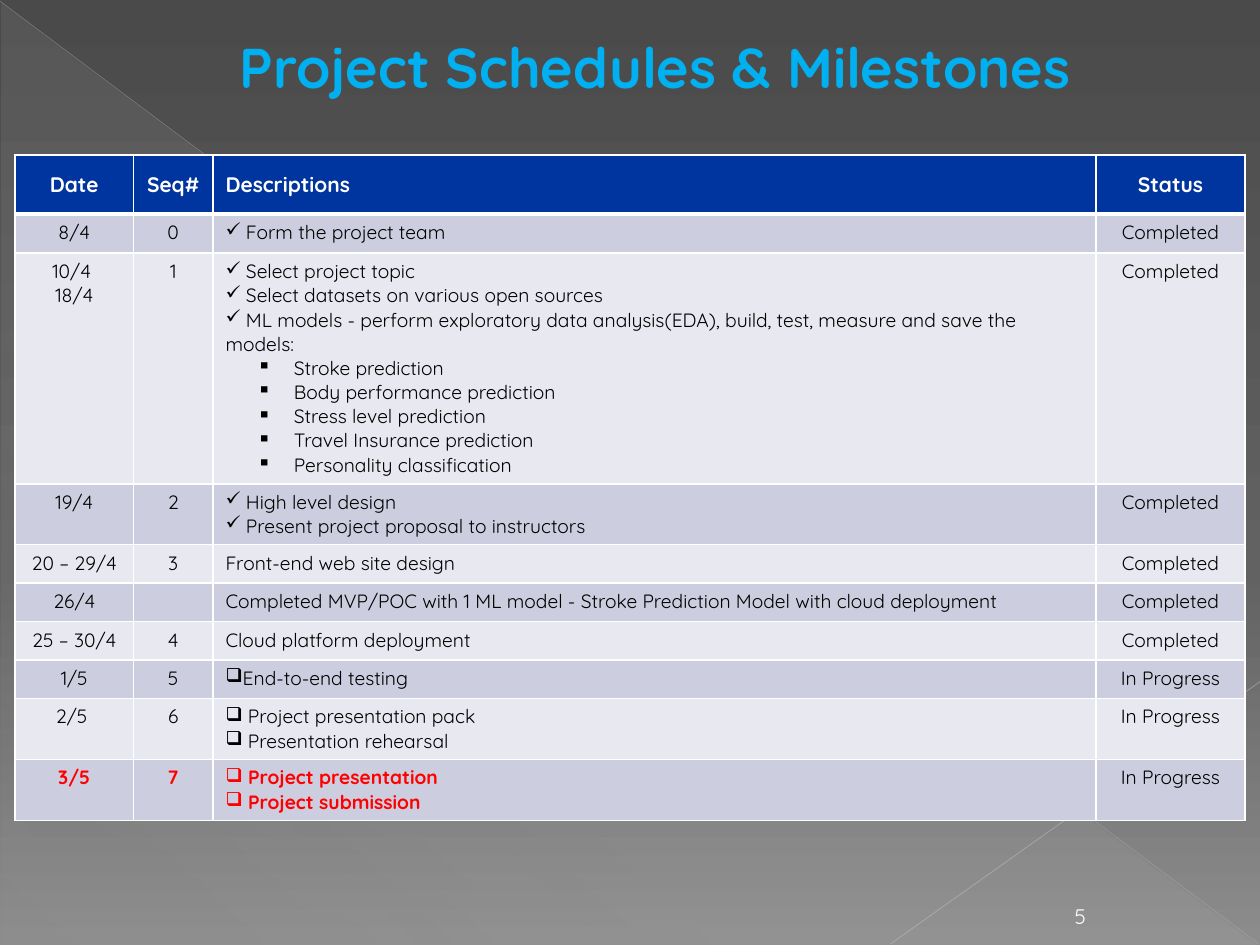
from dataclasses import dataclass

from lxml import etree
from pptx import Presentation
from pptx.dml.color import RGBColor
from pptx.enum.shapes import MSO_CONNECTOR, MSO_SHAPE
from pptx.enum.text import MSO_ANCHOR, PP_ALIGN
from pptx.oxml.ns import qn
from pptx.util import Inches, Pt

CENTER, LEFT = PP_ALIGN.CENTER, PP_ALIGN.LEFT
TOP, MIDDLE, BOTTOM = MSO_ANCHOR.TOP, MSO_ANCHOR.MIDDLE, MSO_ANCHOR.BOTTOM
STRAIGHT, TRIANGLE = MSO_CONNECTOR.STRAIGHT, MSO_SHAPE.RIGHT_TRIANGLE
COLUMNS, ROWS, UNIT = 100, 75, 0.1
CHECK, BOX, SQUARE = "✓", "❑", "▪"


@dataclass(frozen=True)
class Theme:
    font: str = "Quicksand"
    title: str = "00B0F0"
    header: str = "00349E"
    bands: tuple = ("CCCEDF", "E7E8F0")
    light: str = "FFFFFF"
    text: str = "000000"
    alert: str = "FF0000"
    upper_ray: str = "BFBFBF"
    lower_ray: str = "C6C6C6"
    title_size: int = 32
    header_size: int = 12
    body_size: int = 11
    backdrop: tuple = ((0, "4A4A4A", 100), (60, "626262", 100), (100, "8C8C8C", 100))
    sheen: tuple = ((0, "D2D2D2", 10), (70, "D2D2D2", 8), (100, "D2D2D2", 1))


@dataclass(frozen=True)
class Item:
    text: str
    bullet: str = ""
    nested: bool = False


def grid(value):
    return Inches(value * UNIT)


def add_alpha(color, percent):
    etree.SubElement(color, qn("a:alpha"), val=str(percent * 1000))


class SlideBuilder:
    def __init__(self, theme):
        self.theme = theme
        self.deck = Presentation()
        self.deck.slide_width, self.deck.slide_height = grid(COLUMNS), grid(ROWS)
        self.slide = self.deck.slides.add_slide(self.deck.slide_layouts[6])

    def gradient(self, fill, owner, stops, angle):
        fill.gradient()
        gradient = owner.element.find(".//" + qn("a:gradFill"))
        stop_list = gradient.find(qn("a:gsLst"))
        for default in list(stop_list):
            stop_list.remove(default)
        for position, color, opacity in stops:
            stop = etree.SubElement(stop_list, qn("a:gs"), pos=str(position * 1000))
            add_alpha(etree.SubElement(stop, qn("a:srgbClr"), val=color), opacity)
        gradient.find(qn("a:lin")).set("ang", str(angle * 60000))

    def background(self):
        self.gradient(self.slide.background.fill, self.slide, self.theme.backdrop, 90)

    def triangle(self, box):
        triangle = self.slide.shapes.add_shape(TRIANGLE, *map(grid, box))
        triangle.shadow.inherit = False
        triangle.line.fill.background()
        self.gradient(triangle.fill, triangle, self.theme.sheen, 133)

    def line(self, start, end, color, width, opacity):
        line = self.slide.shapes.add_connector(STRAIGHT, *map(grid, start + end))
        line.line.color.rgb = RGBColor.from_string(color)
        line.line.width = Pt(width)
        add_alpha(line.element.find(".//" + qn("a:srgbClr")), opacity)
        etree.SubElement(line.element.spPr, qn("a:effectLst"))

    def style_text(self, paragraph, text, size, color, bold=False, align=CENTER):
        paragraph.text = text
        paragraph.alignment = align
        font = paragraph.font
        font.name, font.size, font.bold = self.theme.font, Pt(size), bold
        font.color.rgb = RGBColor.from_string(color)

    def text(self, box, text, size, color, bold=False, anchor=TOP):
        frame = self.slide.shapes.add_textbox(*map(grid, box)).text_frame
        frame.word_wrap = True
        frame.vertical_anchor = anchor
        self.style_text(frame.paragraphs[0], text, size, color, bold)

    def bullet(self, paragraph, item):
        properties = paragraph._p.get_or_add_pPr()
        if item.nested:
            paragraph.level = 1
        properties.set("marL", str(Inches(0.5 if item.nested else 0)))
        properties.set("indent", str(Inches(-0.25 if item.nested else 0)))
        mark = etree.Element(qn("a:buChar"), char=item.bullet)
        properties.find(qn("a:defRPr")).addprevious(mark)

    def borders(self, cell, widths):
        properties = cell._tc.get_or_add_tcPr()
        for side, width in zip("LRTB", widths):
            border = etree.SubElement(properties, qn("a:ln" + side), w=str(Pt(width)))
            solid = etree.SubElement(border, qn("a:solidFill"))
            etree.SubElement(solid, qn("a:srgbClr"), val=self.theme.light)

    def cell(self, cell, items, fill, size, color, bold, align, anchor, widths):
        self.borders(cell, widths)
        cell.fill.solid()
        cell.fill.fore_color.rgb = RGBColor.from_string(fill)
        cell.vertical_anchor = anchor
        frame = cell.text_frame
        for index, item in enumerate(items):
            paragraph = frame.add_paragraph() if index else frame.paragraphs[0]
            self.style_text(paragraph, item.text, size, color, bold, align)
            if item.bullet:
                self.bullet(paragraph, item)
            if not item.text:
                etree.SubElement(paragraph._p, qn("a:endParaRPr"), sz=str(size * 100))

    def schedule(self, origin, widths, heights, headings, milestones):
        theme = self.theme
        size = (sum(widths), sum(heights))
        table = self.slide.shapes.add_table(
            len(heights), len(widths), *map(grid, origin + size)).table
        table.first_row = table.horz_banding = False
        for column, width in zip(table.columns, widths):
            column.width = grid(width)
        for row, height in zip(table.rows, heights):
            row.height = grid(height)
        for column, heading in enumerate(headings):
            self.cell(table.cell(0, column), [Item(heading)], theme.header,
                      theme.header_size, theme.light, True,
                      LEFT if column == 2 else CENTER, MIDDLE, (1, 1, 1, 3))
        for row, milestone in enumerate(milestones, 1):
            final = row == len(milestones)
            for column, items in enumerate(milestone):
                alert = final and column < 3
                self.cell(table.cell(row, column), items, theme.bands[(row - 1) % 2],
                          theme.body_size, theme.alert if alert else theme.text, alert,
                          LEFT if column == 2 else CENTER, TOP,
                          (1, 1, 3 if row == 1 else 1, 1))


def marked(bullet, *texts, nested=False):
    return [Item(" " + text, bullet, nested) for text in texts]


def milestone(dates, sequence, tasks, status="Completed"):
    return [[Item(date) for date in dates], [Item(sequence)], tasks, [Item(status)]]


HEADINGS = ("Date", "Seq#", "Descriptions", "Status")
IN_PROGRESS = "In Progress"
MILESTONES = [
    milestone(["8/4"], "0", marked(CHECK, "Form the project team")),
    milestone(["10/4 ", "18/4"], "1", marked(
        CHECK, "Select project topic", "Select datasets on various open sources",
        "ML models - perform exploratory data analysis(EDA), build, test, "
        "measure and save the models:") + marked(
        SQUARE, "Stroke prediction", "Body performance prediction",
        "Stress level prediction", "Travel Insurance prediction",
        "Personality classification", nested=True)),
    milestone(["19/4"], "2", marked(
        CHECK, "High level design", "Present project proposal to instructors")),
    milestone(["20 – 29/4"], "3", [Item("Front-end web site design")]),
    milestone(["26/4"], "", [Item(
        "Completed MVP/POC with 1 ML model - Stroke Prediction Model "
        "with cloud deployment")]),
    milestone(["25 – 30/4"], "4", [Item("Cloud platform deployment")]),
    milestone(["1/5"], "5", [Item("End-to-end testing", BOX)], IN_PROGRESS),
    milestone(["2/5 "], "6", marked(
        BOX, "Project presentation pack", "Presentation rehearsal"), IN_PROGRESS),
    milestone(["3/5"], "7", marked(
        BOX, "Project presentation", "Project submission"), IN_PROGRESS),
]
COLUMN_WIDTHS = (9.4, 6.3, 70.1, 11.8)
ROW_HEIGHTS = (4.7, 3.1, 18.3, 4.8, 3.05, 3.05, 3.05, 3.05, 4.85, 4.85)


def main():
    theme = Theme()
    builder = SlideBuilder(theme)
    builder.background()
    builder.triangle((0.1, 0.2, 99.8, 74.8))
    builder.line((0, 0.1), (99.9, 74.9), theme.upper_ray, 0.39, 35)
    builder.line((100, 54.1), (70.7, 74.9), theme.lower_ray, 0.47, 45)
    builder.schedule((1.2, 12.3), COLUMN_WIDTHS, ROW_HEIGHTS, HEADINGS, MILESTONES)
    builder.text((13, 2.1, 78, 6.4), "Project Schedules & Milestones",
                 theme.title_size, theme.title, bold=True)
    builder.text((83, 70.9, 5.5, 3.3), "5", theme.header_size, theme.light, anchor=BOTTOM)
    builder.deck.save("out.pptx")


if __name__ == "__main__":
    main()
